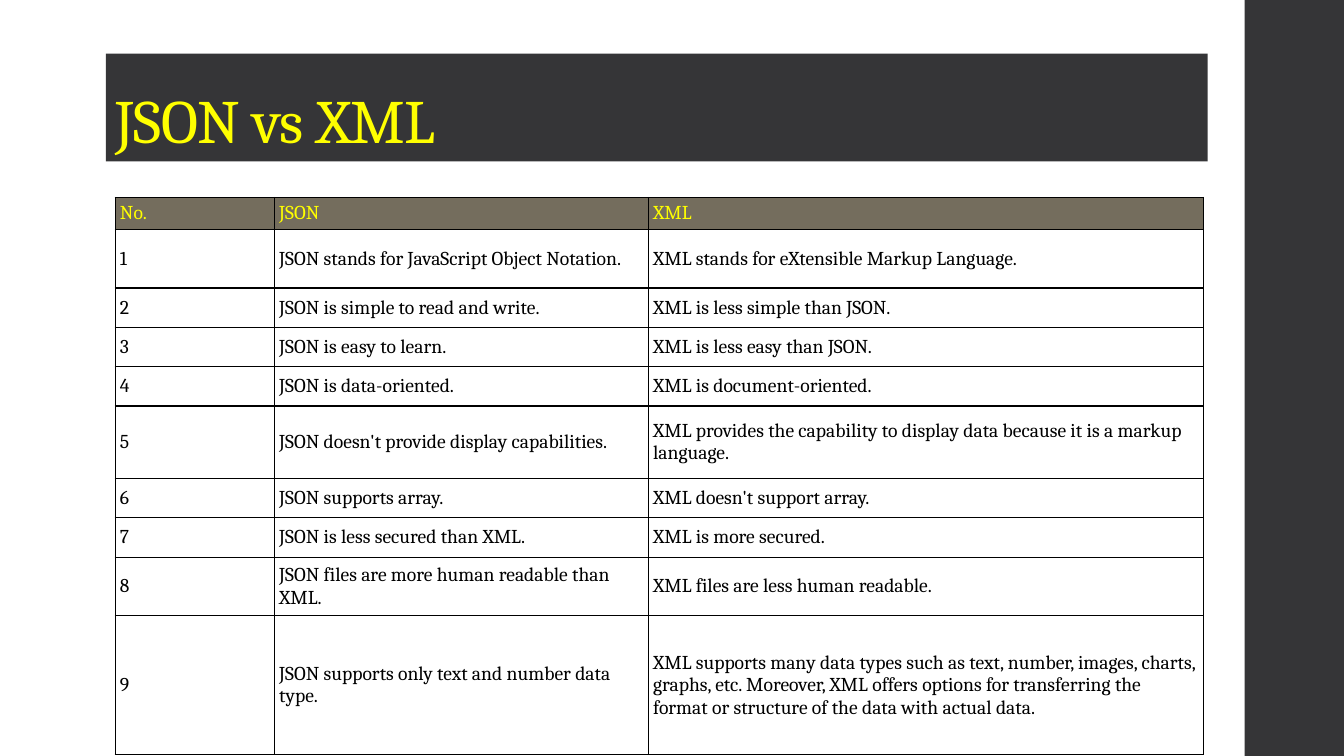
import pptx
import pptx.util
import pptx.dml.color
import pptx.enum.shapes
import pptx.enum.text
import pptx.oxml

Pt = pptx.util.Pt
RGBColor = pptx.dml.color.RGBColor
PP_ALIGN = pptx.enum.text.PP_ALIGN
MSO_ANCHOR = pptx.enum.text.MSO_ANCHOR

CHARCOAL = RGBColor(0x35, 0x35, 0x37)
TAUPE = RGBColor(0x74, 0x6D, 0x5D)
YELLOW = RGBColor(0xFF, 0xFF, 0x00)
BLACK = RGBColor(0x00, 0x00, 0x00)
FONT = "Cambria"

SLIDE_WIDTH, SLIDE_HEIGHT = 960, 540
COLUMN_WIDTHS = [113.8, 267.1, 396.7]
HEADER_HEIGHT = 23
HEADINGS = ("No.", "JSON", "XML")
# Row height in points, statement on JSON, statement on XML
COMPARISONS = [
    (41.8, "JSON stands for JavaScript Object Notation.",
     "XML stands for eXtensible Markup Language."),
    (28.1, "JSON is simple to read and write.", "XML is less simple than JSON."),
    (28.1, "JSON is easy to learn.", "XML is less easy than JSON."),
    (28.1, "JSON is data-oriented.", "XML is document-oriented."),
    (51.8, "JSON doesn't provide display capabilities.",
     "XML provides the capability to display data because it is a markup language."),
    (28.1, "JSON supports array.", "XML doesn't support array."),
    (28.1, "JSON is less secured than XML.", "XML is more secured."),
    (41.8, "JSON files are more human readable than XML.",
     "XML files are less human readable."),
    (99.4, "JSON supports only text and number data type.",
     "XML supports many data types such as text, number, images, charts, graphs, etc. "
     "Moreover, XML offers options for transferring the format or structure of the data "
     "with actual data."),
]


def format_runs(paragraph, size, color):
    for run in paragraph.runs:
        run.font.name = FONT
        run.font.size = Pt(size)
        run.font.color.rgb = color


def add_side_band(slide):
    band = slide.shapes.add_shape(
        pptx.enum.shapes.MSO_SHAPE.RECTANGLE, Pt(889), Pt(0), Pt(71), Pt(SLIDE_HEIGHT))
    band.shadow.inherit = False
    band.fill.solid()
    band.fill.fore_color.rgb = CHARCOAL
    band.line.fill.background()


def set_title(slide, text):
    title = slide.shapes.title
    title.left, title.top, title.width, title.height = Pt(75.6), Pt(38.3), Pt(787), Pt(77)
    title.fill.solid()
    title.fill.fore_color.rgb = CHARCOAL
    frame = title.text_frame
    frame.text = text
    frame.word_wrap = True
    frame.auto_size = pptx.enum.text.MSO_AUTO_SIZE.NONE
    frame.vertical_anchor = MSO_ANCHOR.BOTTOM
    paragraph = frame.paragraphs[0]
    paragraph.alignment = PP_ALIGN.LEFT
    paragraph.line_spacing = 0.9
    format_runs(paragraph, 44, YELLOW)
    paragraph.runs[0].font._element.set("spc", "-50")


def add_cell_borders(cell):
    properties = cell._tc.get_or_add_tcPr()
    for position, side in enumerate(("lnL", "lnR", "lnT", "lnB")):
        border = pptx.oxml.parse_xml(
            f'<a:{side} xmlns:a="http://schemas.openxmlformats.org/drawingml/2006/main" '
            f'w="{Pt(1)}"><a:solidFill><a:srgbClr val="{BLACK}"/></a:solidFill></a:{side}>')
        properties.insert(position, border)


def fill_cell(cell, text, is_header):
    cell.text_frame.text = text
    cell.vertical_anchor = MSO_ANCHOR.MIDDLE
    cell.margin_left = cell.margin_right = Pt(3.4)
    cell.margin_top = cell.margin_bottom = Pt(1.7)
    format_runs(cell.text_frame.paragraphs[0], 14, YELLOW if is_header else BLACK)
    if is_header:
        cell.fill.solid()
        cell.fill.fore_color.rgb = TAUPE
    else:
        cell.fill.background()
    add_cell_borders(cell)


def add_comparison_table(slide):
    heights = [HEADER_HEIGHT] + [height for height, _, _ in COMPARISONS]
    rows = [HEADINGS] + [(str(number), json_text, xml_text)
                         for number, (_, json_text, xml_text) in enumerate(COMPARISONS, 1)]
    table = slide.shapes.add_table(
        len(rows), len(COLUMN_WIDTHS), Pt(82.3), Pt(141),
        Pt(sum(COLUMN_WIDTHS)), Pt(sum(heights))).table
    table.first_row = False
    table.horz_banding = False
    for column, width in zip(table.columns, COLUMN_WIDTHS):
        column.width = Pt(width)
    for row_index, (row, height, texts) in enumerate(zip(table.rows, heights, rows)):
        row.height = Pt(height)
        for cell, text in zip(row.cells, texts):
            fill_cell(cell, text, is_header=row_index == 0)


def main():
    presentation = pptx.Presentation()
    presentation.slide_width = Pt(SLIDE_WIDTH)
    presentation.slide_height = Pt(SLIDE_HEIGHT)
    title_only = presentation.slide_layouts.get_by_name("Title Only")
    slide = presentation.slides.add_slide(title_only)
    add_side_band(slide)
    set_title(slide, "JSON vs XML")
    add_comparison_table(slide)
    presentation.save("out.pptx")


if __name__ == "__main__":
    main()
